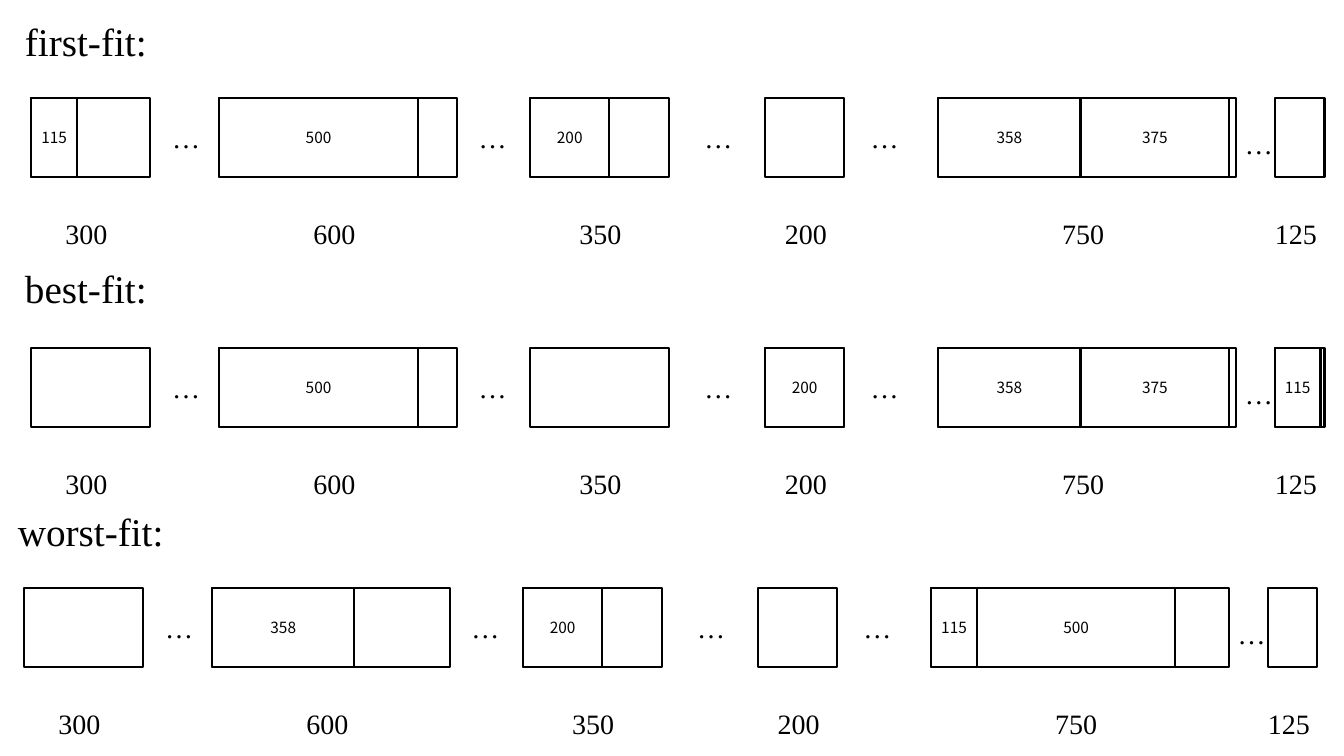
from pptx import Presentation
from pptx import util as u
from pptx.dml.color import RGBColor
from pptx.enum import shapes, text

COLOURS = {"ink": "000000", "paper": "FFFFFF"}
SERIF, SANS = "Times New Roman", "Noto Sans CJK SC"
CM_PER_UNIT = 0.01  # a block of memory of size 100 is 1 cm wide
BLOCK_HEIGHT = 2

# size of each free block: (left of block, left of its size label)
BLOCKS = {
    300: (0.79, 1.4),
    600: (5.53, 7.65),
    350: (13.36, 14.35),
    200: (19.28, 19.53),
    750: (23.65, 26.52),
    125: (32.13, 31.88),
}
# left, width, and distance below the top of the blocks
ELLIPSES = [
    (4.09, 1.09, 0.45),
    (11.81, 1.09, 0.45),
    (17.5, 0.89, 0.45),
    (21.69, 0.89, 0.45),
    (31.12, 0.89, 0.6),
]
# name, shift to the right, top of title, top of blocks, processes in each block
STRATEGIES = [
    ("first-fit:", 0, 0.3, 2.46, {300: [115], 600: [500], 350: [200], 750: [358, 375]}),
    ("best-fit:", 0, 6.53, 8.76, {600: [500], 200: [200], 750: [358, 375], 125: [115]}),
    ("worst-fit:", -0.18, 12.67, 14.81, {600: [358], 350: [200], 750: [115, 500]}),
]


def colour(name):
    return RGBColor.from_string(COLOURS[name])


def write(frame, words, *, size, font, align=None, anchor=None):
    frame.word_wrap = True
    if anchor is not None:
        frame.vertical_anchor = anchor
    para = frame.paragraphs[0]
    if align is not None:
        para.alignment = align
    span = para.add_run()
    span.text = words
    span.font.size = u.Pt(size)
    span.font.name = font
    span.font.color.rgb = colour("ink")


class MemoryPage:
    def __init__(self, page):
        self.page = page

    def label(self, words, left, top, width, height=1.12, size=20):
        box = self.page.shapes.add_textbox(u.Cm(left), u.Cm(top), u.Cm(width), u.Cm(height))
        write(box.text_frame, words, size=size, font=SERIF)
        box.text_frame.auto_size = text.MSO_AUTO_SIZE.SHAPE_TO_FIT_TEXT

    def block(self, units, left, top, words=""):
        box = self.page.shapes.add_shape(
            shapes.MSO_SHAPE.RECTANGLE,
            u.Cm(left), u.Cm(top), u.Cm(units * CM_PER_UNIT), u.Cm(BLOCK_HEIGHT))
        box.shadow.inherit = False
        box.fill.solid()
        box.fill.fore_color.rgb = colour("paper")
        box.line.color.rgb = colour("ink")
        box.line.width = u.Pt(1.5)
        if words:
            write(box.text_frame, words, size=11, font=SANS,
                  align=text.PP_ALIGN.CENTER, anchor=text.MSO_ANCHOR.MIDDLE)

    def strategy(self, name, shift, title_top, top, placed):
        """Draw one row: title, free blocks with the processes in them, and sizes."""
        self.label(name, 0.38 + shift, title_top, 7.92, 1.45, size=28)
        for size, (left, label_left) in BLOCKS.items():
            self.block(size, left + shift, top)
            start = left + shift
            for process in placed.get(size, []):
                self.block(process, start, top, str(process))
                start += process * CM_PER_UNIT
            self.label(str(size), label_left + shift, top + 2.87, 1.78)
        for left, width, drop in ELLIPSES:
            self.label("…", left + shift, top + drop, width)


def main():
    deck = Presentation()
    deck.slide_width, deck.slide_height = u.Cm(33.87), u.Cm(19.05)
    memory = MemoryPage(deck.slides.add_slide(deck.slide_layouts[6]))
    for row in STRATEGIES:
        memory.strategy(*row)
    deck.save("out.pptx")


if __name__ == "__main__":
    main()
